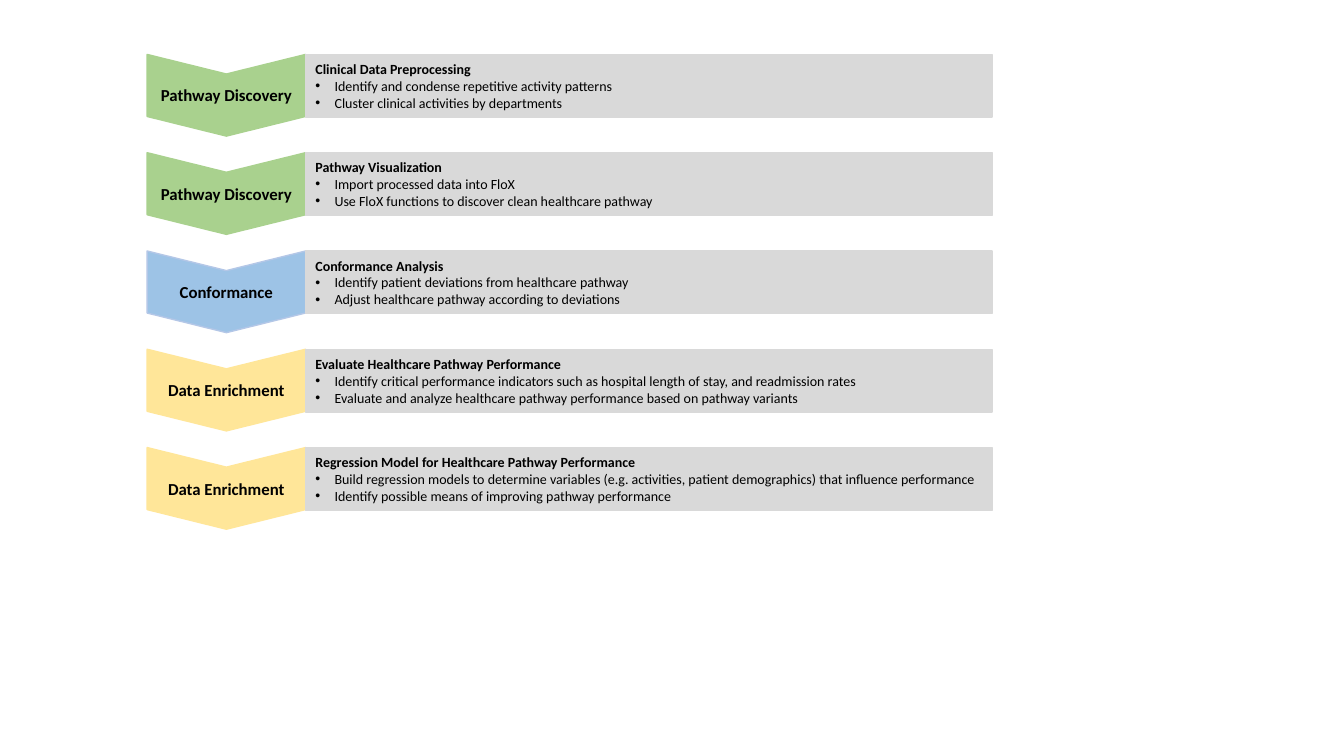
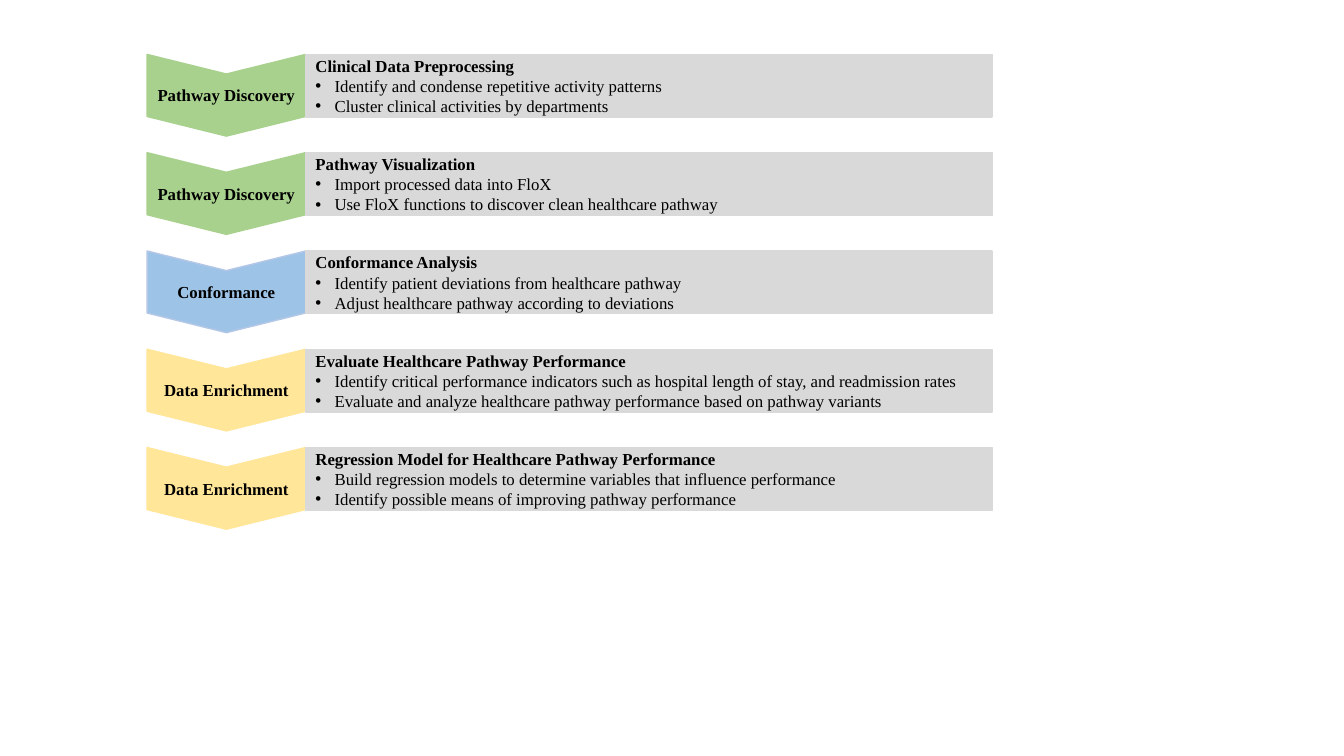
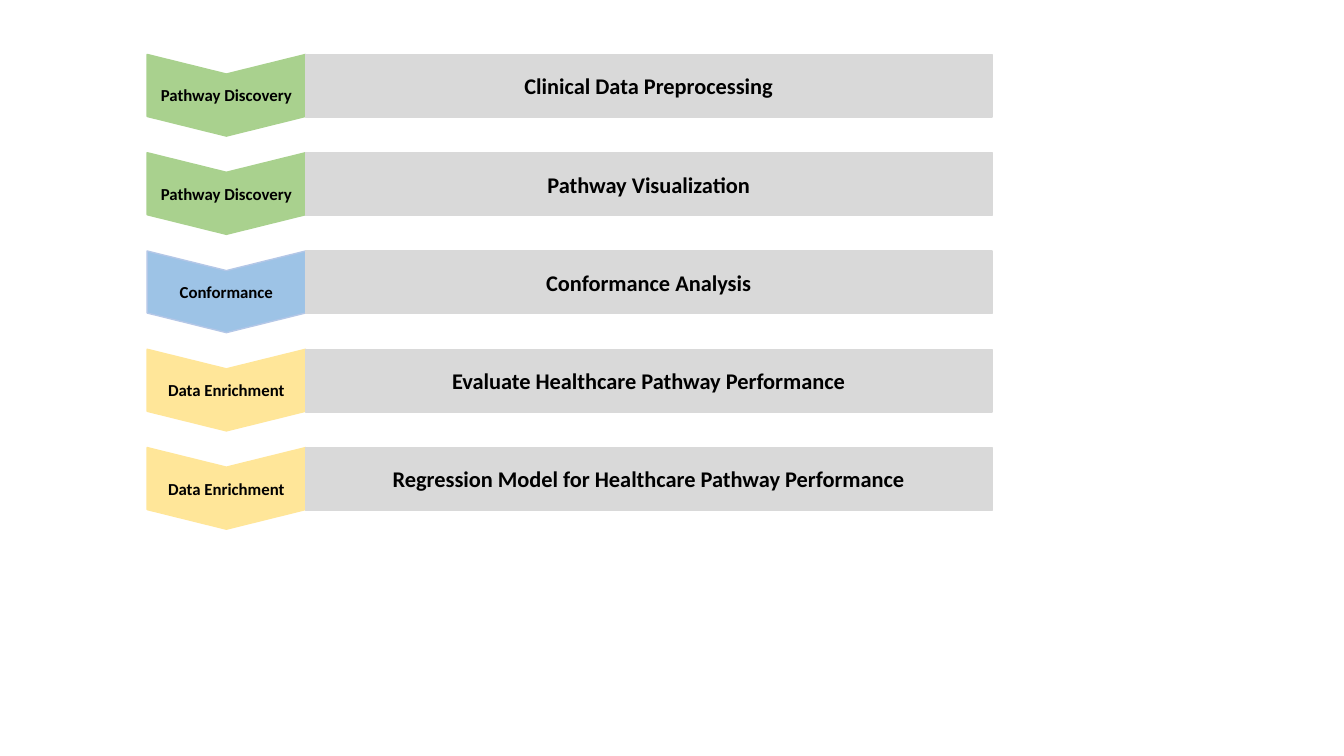
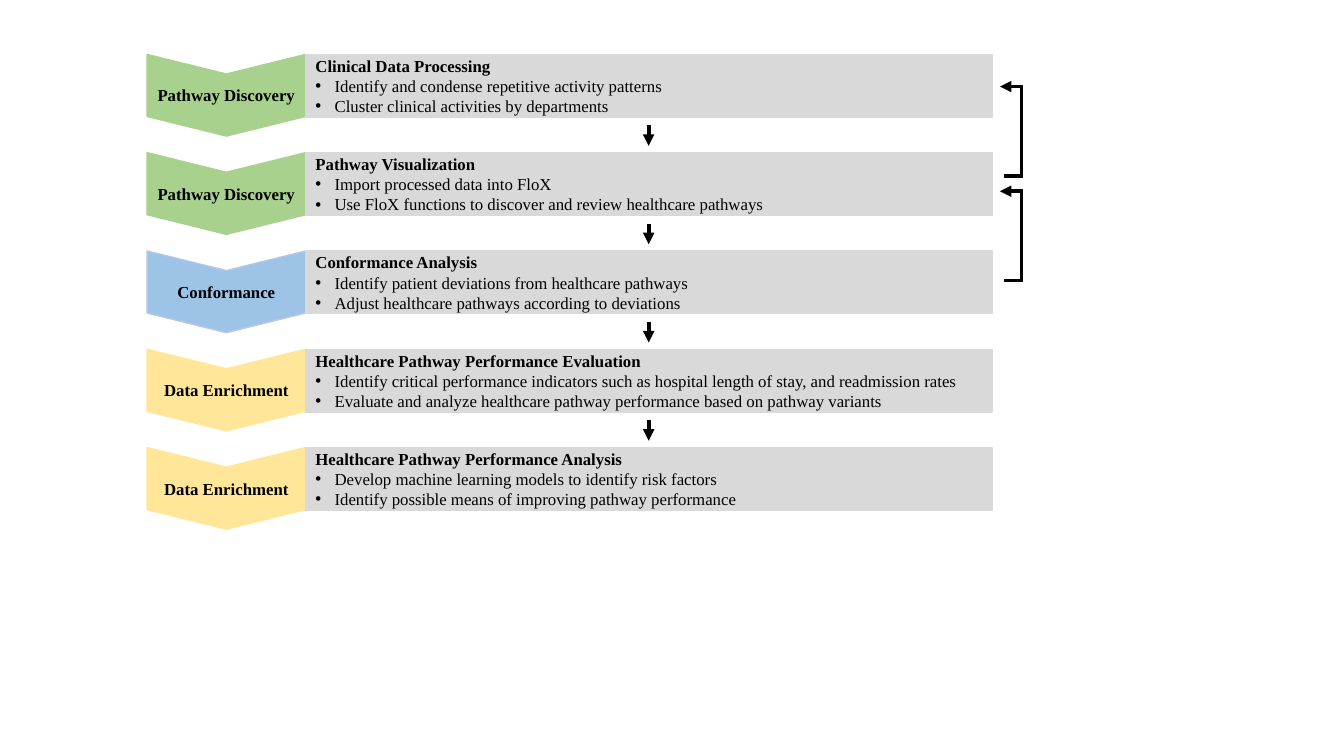
from collections import namedtuple

from lxml.etree import SubElement
from pptx import Presentation
from pptx.dml.color import RGBColor
from pptx.enum.shapes import MSO_CONNECTOR as CONN, MSO_SHAPE as SHAPE
from pptx.enum.text import MSO_ANCHOR as ANCHOR, PP_ALIGN as ALIGN
from pptx.oxml.ns import qn
from pptx.util import Inches, Pt

# Colours and fonts
BLACK = RGBColor(0x00, 0x00, 0x00)
GREY = RGBColor(0xD9, 0xD9, 0xD9)
GREEN = RGBColor(0xA9, 0xD1, 0x8E)
BLUE = RGBColor(0x9D, 0xC3, 0xE6)
BLUE_EDGE = RGBColor(0xB4, 0xC7, 0xE7)
YELLOW = RGBColor(0xFF, 0xE6, 0x99)
SANS, SERIF = "Calibri", "Times New Roman"

# Grid, in percent of the slide's width (across) or height (down)
LABEL_X, LABEL_W, LABEL_H = 10.95, 11.78, 10.8
BAR_X, BAR_W, BAR_H = LABEL_X + LABEL_W, 51.07, 8.3
ROW_TOP, ROW_STEP = 7.2, 13
ARROW_GAP, ARROW_LEN = 9.4, 2.7
LOOP_TIP, LOOP_FOOT, LOOP_SIDE = 74.4, 74.7, 76
LOOP_TOPS, LOOP_H = (11.45, 25.3), 11.8

# One stage: label, its fill and edge, then heading and bullet items
Stage = namedtuple("Stage", "label fill edge heading items")
DETAILED = [
    Stage("Pathway Discovery", GREEN, GREEN, "Clinical Data Preprocessing",
          ("Identify and condense repetitive activity patterns",
           "Cluster clinical activities by departments")),
    Stage("Pathway Discovery", GREEN, GREEN, "Pathway Visualization",
          ("Import processed data into FloX",
           "Use FloX functions to discover clean healthcare pathway")),
    Stage("Conformance", BLUE, BLUE_EDGE, "Conformance Analysis",
          ("Identify patient deviations from healthcare pathway",
           "Adjust healthcare pathway according to deviations")),
    Stage("Data Enrichment", YELLOW, YELLOW, "Evaluate Healthcare Pathway Performance",
          ("Identify critical performance indicators such as hospital length of stay, "
           "and readmission rates",
           "Evaluate and analyze healthcare pathway performance based on pathway variants")),
    Stage("Data Enrichment", YELLOW, YELLOW,
          "Regression Model for Healthcare Pathway Performance",
          ("Build regression models to determine variables (e.g. activities, patient "
           "demographics) that influence performance",
           "Identify possible means of improving pathway performance")),
]


def revise(stages, changes):
    """Return the stages with some fields changed, by row."""
    return [s._replace(**changes.get(row, {})) for row, s in enumerate(stages)]


SHORTER = revise(DETAILED, {4: dict(items=(
    "Build regression models to determine variables that influence performance",
    DETAILED[4].items[1]))})
HEADINGS = [s._replace(items=()) for s in DETAILED]
REVISED = revise(DETAILED, {
    0: dict(heading="Clinical Data Processing"),
    1: dict(items=(DETAILED[1].items[0],
                   "Use FloX functions to discover and review healthcare pathways")),
    2: dict(items=("Identify patient deviations from healthcare pathways",
                   "Adjust healthcare pathways according to deviations")),
    3: dict(heading="Healthcare Pathway Performance Evaluation"),
    4: dict(heading="Healthcare Pathway Performance Analysis",
            items=("Develop machine learning models to identify risk factors",
                   DETAILED[4].items[1])),
})


def write(tf, text, size=12, font=SANS, bold=False, align=ALIGN.LEFT, bullet=False):
    """Add one formatted paragraph to a text frame."""
    p = tf.paragraphs[0] if not tf.text else tf.add_paragraph()
    p.alignment = align
    r = p.add_run()
    r.text = text
    r.font.size, r.font.name, r.font.bold = Pt(size), font, bold
    r.font.color.rgb = BLACK
    if bullet:
        pPr = p._p.get_or_add_pPr()
        indent = Inches(0.19)
        pPr.set("marL", str(indent))
        pPr.set("indent", str(-indent))
        SubElement(pPr, qn("a:buFont")).set("typeface", "Arial")
        SubElement(pPr, qn("a:buChar")).set("char", "•")


class Deck:
    def __init__(self):
        self.prs = Presentation()
        self.prs.slide_width, self.prs.slide_height = Inches(13.33), Inches(7.5)
        self.s = self.font = None

    def x(self, share):
        return round(self.prs.slide_width * share / 100)

    def y(self, share):
        return round(self.prs.slide_height * share / 100)

    def new_slide(self, font):
        self.s = self.prs.slides.add_slide(self.prs.slide_layouts[6])
        self.font = font

    def shape(self, kind, left, top, width, height, fill, edge):
        sp = self.s.shapes.add_shape(kind, left, top, width, height)
        sp.shadow.inherit = False
        sp.fill.solid()
        sp.fill.fore_color.rgb = fill
        sp.line.color.rgb = edge
        sp.line.width = Pt(1)
        sp.text_frame.word_wrap = True
        sp.text_frame.vertical_anchor = ANCHOR.MIDDLE
        return sp

    def label(self, top, stage):
        # The chevron is laid out upright, then turned about its centre
        long, short = self.x(LABEL_W), self.y(LABEL_H)
        shift = (long - short) // 2
        sp = self.shape(SHAPE.CHEVRON, self.x(LABEL_X) + shift, self.y(top) - shift,
                        short, long, stage.fill, stage.edge)
        sp.adjustments[0] = 0.24
        sp.rotation = 90
        tf = sp.text_frame
        tf._txBody.bodyPr.set("vert", "vert270")
        write(tf, stage.label, font=self.font, bold=True, align=ALIGN.CENTER)

    def bar(self, top, stage, size):
        sp = self.shape(SHAPE.RECTANGLE, self.x(BAR_X), self.y(top),
                        self.x(BAR_W), self.y(BAR_H), GREY, GREY)
        align = ALIGN.LEFT if stage.items else ALIGN.CENTER
        write(sp.text_frame, stage.heading, size=size, font=self.font, bold=True, align=align)
        for item in stage.items:
            write(sp.text_frame, item, size=size, font=self.font, bullet=True)

    def stages(self, stages, size):
        for row, stage in enumerate(stages):
            top = ROW_TOP + row * ROW_STEP
            self.label(top, stage)
            self.bar(top, stage, size)

    def line(self, x1, y1, x2, y2, arrow=False):
        c = self.s.shapes.add_connector(CONN.STRAIGHT, self.x(x1), self.y(y1),
                                        self.x(x2), self.y(y2))
        c.line.color.rgb = BLACK
        c.line.width = Pt(2.75)
        if arrow:
            SubElement(c.line._get_or_add_ln(), qn("a:tailEnd")).set("type", "triangle")
        SubElement(c._element.spPr, qn("a:effectLst"))

    def down_arrows(self, count):
        middle = BAR_X + BAR_W / 2
        for row in range(count):
            start = ROW_TOP + row * ROW_STEP + ARROW_GAP
            self.line(middle, start, middle, start + ARROW_LEN, arrow=True)

    def loop_back(self, top):
        bottom = top + LOOP_H
        corner = LOOP_SIDE + 0.1  # closes the corners of the thick lines
        self.line(corner, top, LOOP_TIP, top, arrow=True)
        self.line(LOOP_SIDE, top, LOOP_SIDE, bottom)
        self.line(LOOP_FOOT, bottom, corner, bottom)


# Slides
deck = Deck()
for stages, font, size in ((DETAILED, SANS, 10), (SHORTER, SERIF, 12),
                           (HEADINGS, SANS, 16), (REVISED, SERIF, 12)):
    deck.new_slide(font)
    deck.stages(stages, size)

# The last slide also shows the flow between stages
deck.down_arrows(len(REVISED) - 1)
for loop_top in LOOP_TOPS:
    deck.loop_back(loop_top)

deck.prs.save("out.pptx")
